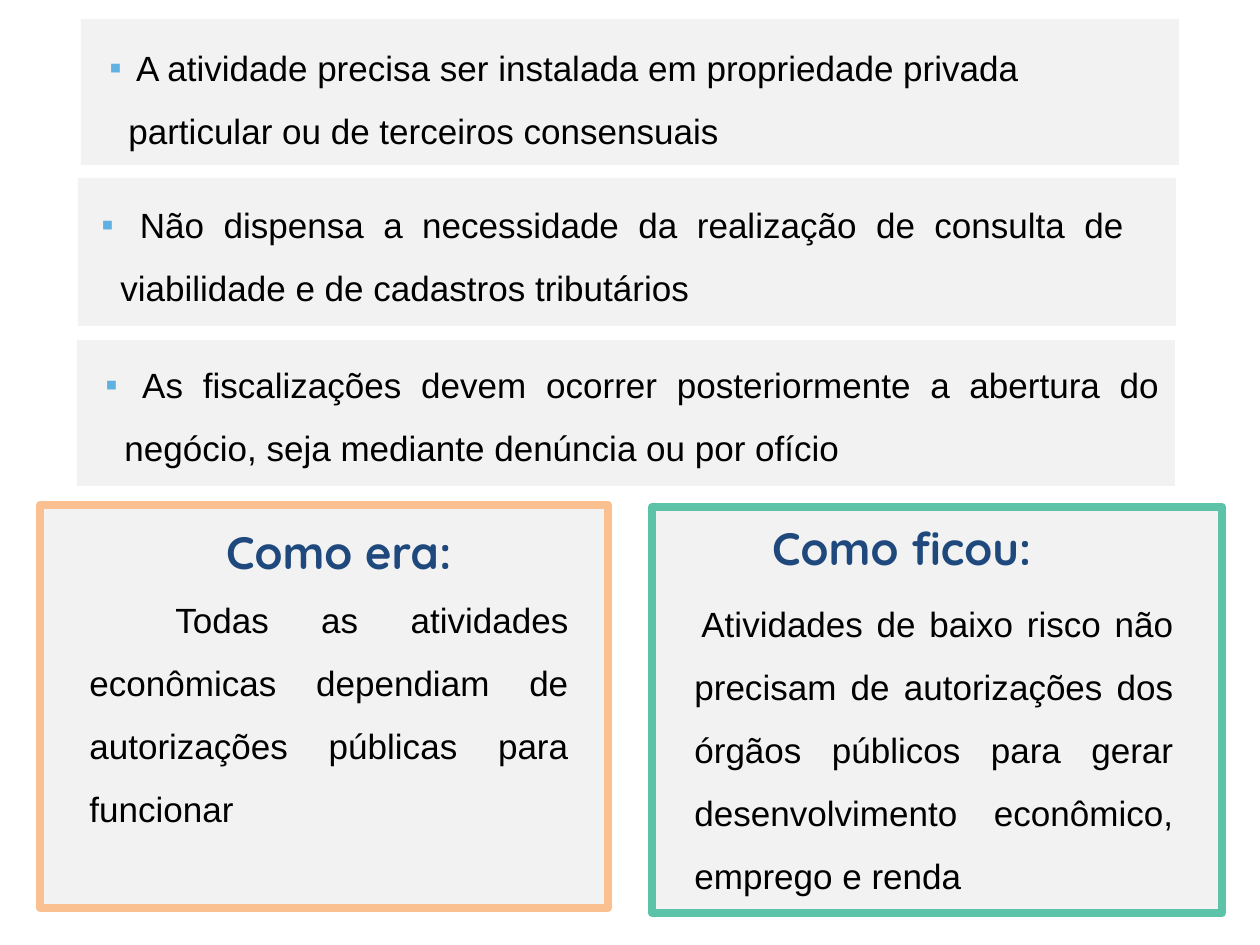
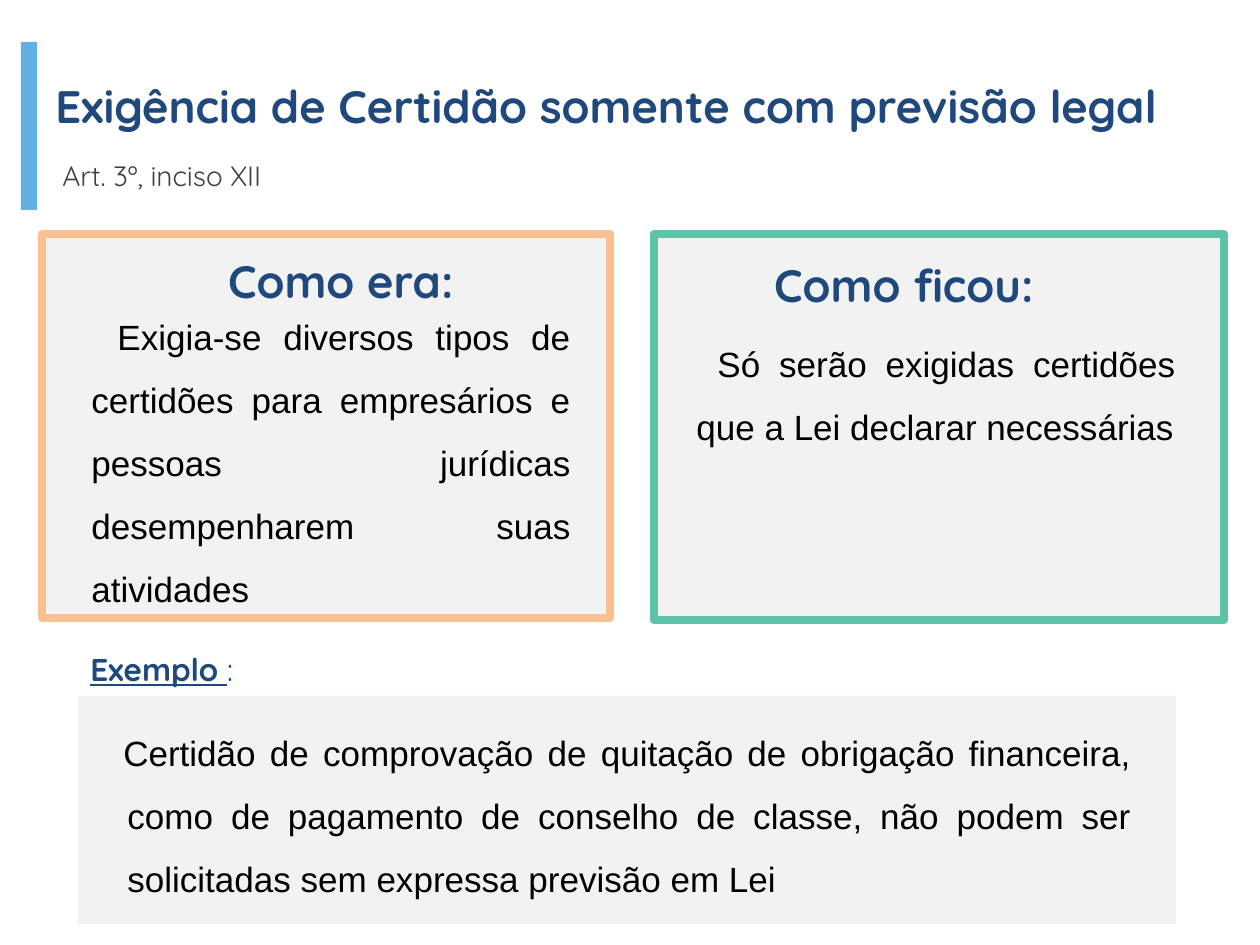
import pptx
import pptx.util
import pptx.dml.color
import pptx.enum.shapes
import pptx.enum.text
from lxml import etree

PX = 914400 / 126
COLORS = {"panel": "F2F2F2", "blue": "60B0E2", "navy": "1F497D", "gray": "404040",
          "black": "000000", "orange": "FAC090", "green": "5DC3A8"}
A = "{http://schemas.openxmlformats.org/drawingml/2006/main}"
ALIGN = pptx.enum.text.PP_ALIGN
ANCHOR = pptx.enum.text.MSO_ANCHOR


def add_rect(s, box, fill, line=None):
    sp = s.shapes.add_shape(pptx.enum.shapes.MSO_SHAPE.RECTANGLE, *[round(v * PX) for v in box])
    sp.shadow.inherit = False
    sp.fill.solid()
    sp.fill.fore_color.rgb = pptx.dml.color.RGBColor.from_string(COLORS[fill])
    if line:
        sp.line.color.rgb = pptx.dml.color.RGBColor.from_string(COLORS[line])
        sp.line.width = pptx.util.Pt(4.5)
    else:
        sp.line.fill.background()


def add_text(s, box, text, size=20, font="Arial", color="black", bold=False, align=ALIGN.JUSTIFY,
             anchor=ANCHOR.MIDDLE, spacing=1.5, after=6, left=0, first=0, bullet=False):
    tf = s.shapes.add_textbox(*[round(v * PX) for v in box]).text_frame
    tf.word_wrap = True
    tf.auto_size = pptx.enum.text.MSO_AUTO_SIZE.SHAPE_TO_FIT_TEXT
    tf.vertical_anchor = anchor
    p = tf.paragraphs[0]
    p.text = text
    p.alignment = align
    p.line_spacing = spacing
    p.space_after = pptx.util.Pt(after)
    pPr = p._p.get_or_add_pPr()
    pPr.set("marL", str(round(left * PX)))
    pPr.set("indent", str(round(first * PX)))
    if bullet:
        clr = etree.SubElement(pPr, A + "buClr")
        etree.SubElement(clr, A + "srgbClr", val=COLORS["blue"])
        etree.SubElement(pPr, A + "buFont", typeface="Arial")
        etree.SubElement(pPr, A + "buChar", char="▪")
    r = p.runs[0]
    r.font.size = pptx.util.Pt(size)
    r.font.name = font
    r.font.bold = bold
    r.font.color.rgb = pptx.dml.color.RGBColor.from_string(COLORS[color])
    return p


prs = pptx.Presentation()
prs.slide_width = round(1260 * PX)
prs.slide_height = round(945 * PX)
s1, s2 = [prs.slides.add_slide(prs.slide_layouts[6]) for _ in range(2)]

rules = [
    ((81, 19, 1098, 146), (97, 19, 1055, 140), ALIGN.LEFT,
     " A atividade precisa ser instalada em propriedade privada particular ou de terceiros consensuais"),
    ((78, 178, 1098, 148), (89, 176, 1048, 140), ALIGN.JUSTIFY,
     " Não dispensa a necessidade da realização de consulta de viabilidade e de cadastros tributários"),
    ((77, 340, 1098, 146), (93, 336, 1079, 140), ALIGN.JUSTIFY,
     " As fiscalizações devem ocorrer posteriormente a abertura do negócio, seja mediante denúncia ou por ofício"),
]
for band, box, align, text in rules:
    add_rect(s1, band, "panel")
    add_text(s1, box, text, align=align, left=19, first=-19, bullet=True)

add_rect(s2, (21, 42, 16, 168), "blue")
add_text(s2, (43, 71, 1191, 68), "Exigência de Certidão somente com previsão legal", size=26,
         font="Quicksand", color="navy", bold=True, align=ALIGN.LEFT, spacing=1, after=0)
add_text(s2, (50, 152, 906, 47), "Art. 3º, inciso XII", size=16, font="Quicksand",
         color="gray", align=ALIGN.LEFT, anchor=ANCHOR.TOP, spacing=1, after=0)

cards = [
    (s1, (40, 505, 568, 403), "orange", "Como era:", (100, 495), (58, 570, 523, 267), 86,
     "Todas as atividades econômicas dependiam de autorizações públicas para funcionar"),
    (s1, (652, 507, 570, 406), "green", "Como ficou:", (663, 491), (663, 573, 523, 331), 7,
     "Atividades de baixo risco não precisam de autorizações dos órgãos públicos para gerar "
     "desenvolvimento econômico, emprego e renda"),
    (s2, (42, 234, 568, 384), "orange", "Como era:", (102, 224), (60, 286, 523, 331), 26,
     "Exigia-se diversos tipos de certidões para empresários e pessoas jurídicas "
     "desempenharem suas atividades"),
    (s2, (654, 234, 570, 386), "green", "Como ficou:", (665, 228), (665, 318, 523, 132), 21,
     "Só serão exigidas certidões que a Lei declarar necessárias"),
]
for s, frame, line, heading, corner, box, first, text in cards:
    add_rect(s, frame, "panel", line)
    add_text(s, (*corner, 478, 86), heading, size=26, font="Quicksand", color="navy",
             bold=True, align=ALIGN.CENTER)
    add_text(s, box, text, left=19, first=first)

add_rect(s2, (78, 696, 1098, 228), "panel")
p = add_text(s2, (78, 644, 1100, 50), "Exemplo ", size=18, font="Quicksand", color="navy",
             bold=True, anchor=ANCHOR.TOP, spacing=1)
p.runs[0].font.underline = True
r = p.add_run()
r.text = ":"
r.font.size = pptx.util.Pt(18)
r.font.name = "Quicksand"
r.font.color.rgb = pptx.dml.color.RGBColor.from_string(COLORS["navy"])
add_text(s2, (96, 703, 1048, 204),
         "Certidão de comprovação de quitação de obrigação financeira, como de pagamento de "
         "conselho de classe, não podem ser solicitadas sem expressa previsão em Lei",
         left=19, first=-4)

prs.save("out.pptx")
